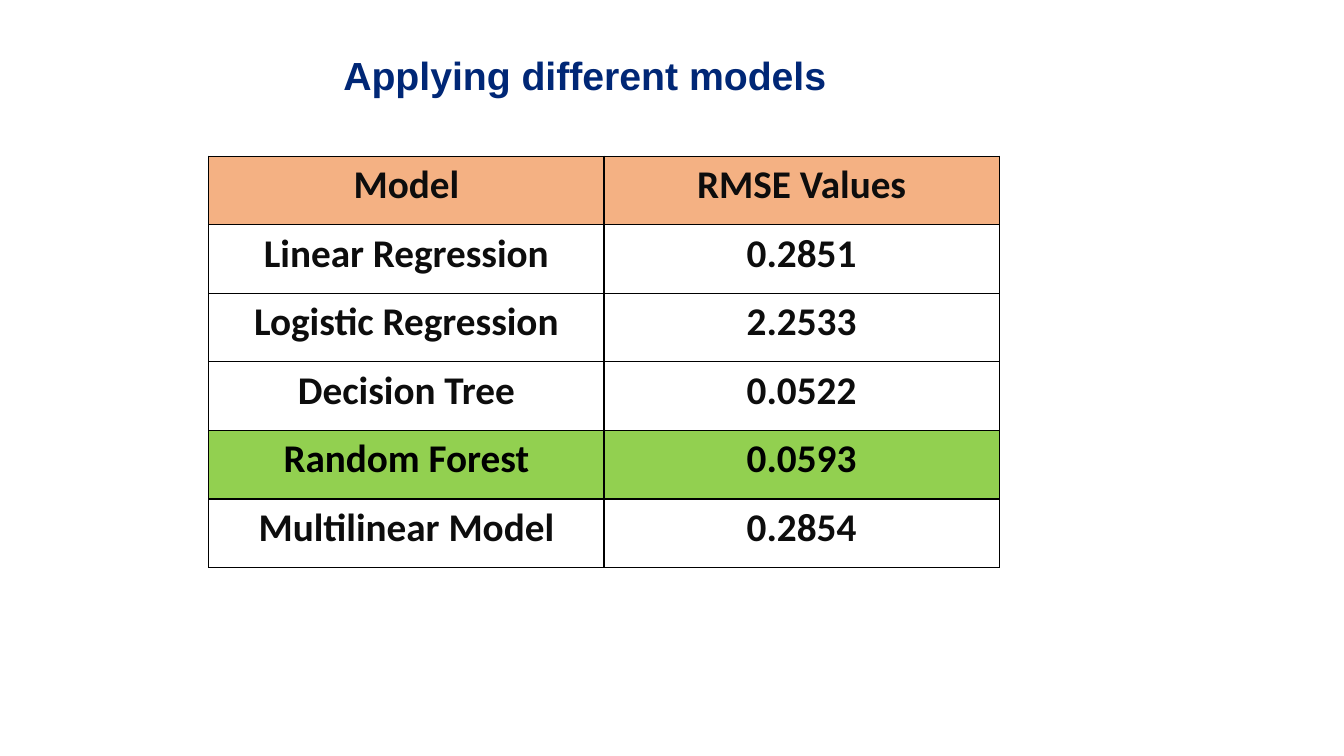
"""Build a slide with a table comparing the RMSE of five models."""
import pptx
import pptx.dml.color
import pptx.enum.text
import pptx.oxml.ns
import pptx.util
from lxml import etree

TITLE = "Applying different models"
ROWS = [
    ("Model", "RMSE Values"),
    ("Linear Regression", "0.2851"),
    ("Logistic Regression", "2.2533"),
    ("Decision Tree", "0.0522"),
    ("Random Forest", "0.0593"),
    ("Multilinear Model", "0.2854"),
]
FILLS = {"Model": "F4B183", "Random Forest": "92D050"}
TEXT_COLOURS = {"Random Forest": "000000"}
TITLE_BOX = (2.28, 0.46, 7.04, 1.04)
TABLE_LEFT, TABLE_TOP = 2.07, 1.55
COLUMN_WIDTH, ROW_HEIGHT = 3.92, 0.68
BORDER_COLOUR, BORDER_POINTS = "000000", 1


def colour(value):
    return pptx.dml.color.RGBColor.from_string(value)


def inches(*lengths):
    return [pptx.util.Inches(length) for length in lengths]


def write(frame, text, font, text_colour):
    para = frame.paragraphs[0]
    para.alignment = pptx.enum.text.PP_ALIGN.CENTER
    span = para.add_run()
    span.text = text
    span.font.name = font
    span.font.size = pptx.util.Pt(28)
    span.font.bold = True
    span.font.color.rgb = colour(text_colour)


def add_borders(cell):
    properties = cell._tc.get_or_add_tcPr()
    for side in ("lnL", "lnR", "lnT", "lnB"):
        line = etree.SubElement(properties, pptx.oxml.ns.qn(f"a:{side}"))
        line.set("w", str(pptx.util.Pt(BORDER_POINTS)))
        fill = etree.SubElement(line, pptx.oxml.ns.qn("a:solidFill"))
        etree.SubElement(fill, pptx.oxml.ns.qn("a:srgbClr")).set("val", BORDER_COLOUR)


deck = pptx.Presentation()
deck.slide_width, deck.slide_height = inches(13.33, 7.5)
page = deck.slides.add_slide(deck.slide_layouts.get_by_name("Title Only"))

title = page.shapes.title
title.left, title.top, title.width, title.height = inches(*TITLE_BOX)
title.text_frame.vertical_anchor = pptx.enum.text.MSO_ANCHOR.TOP
title.text_frame.auto_size = pptx.enum.text.MSO_AUTO_SIZE.NONE
write(title.text_frame, TITLE, "Arial", "002776")

columns = len(ROWS[0])
table = page.shapes.add_table(
    len(ROWS), columns,
    *inches(TABLE_LEFT, TABLE_TOP, columns * COLUMN_WIDTH, len(ROWS) * ROW_HEIGHT),
).table
table.first_row = table.horz_banding = False

for row, values in enumerate(ROWS):
    model = values[0]
    for column, value in enumerate(values):
        cell = table.cell(row, column)
        add_borders(cell)
        cell.fill.solid()
        cell.fill.fore_color.rgb = colour(FILLS.get(model, "FFFFFF"))
        write(cell.text_frame, value, "Calibri", TEXT_COLOURS.get(model, "0D0D0D"))

deck.save("out.pptx")
